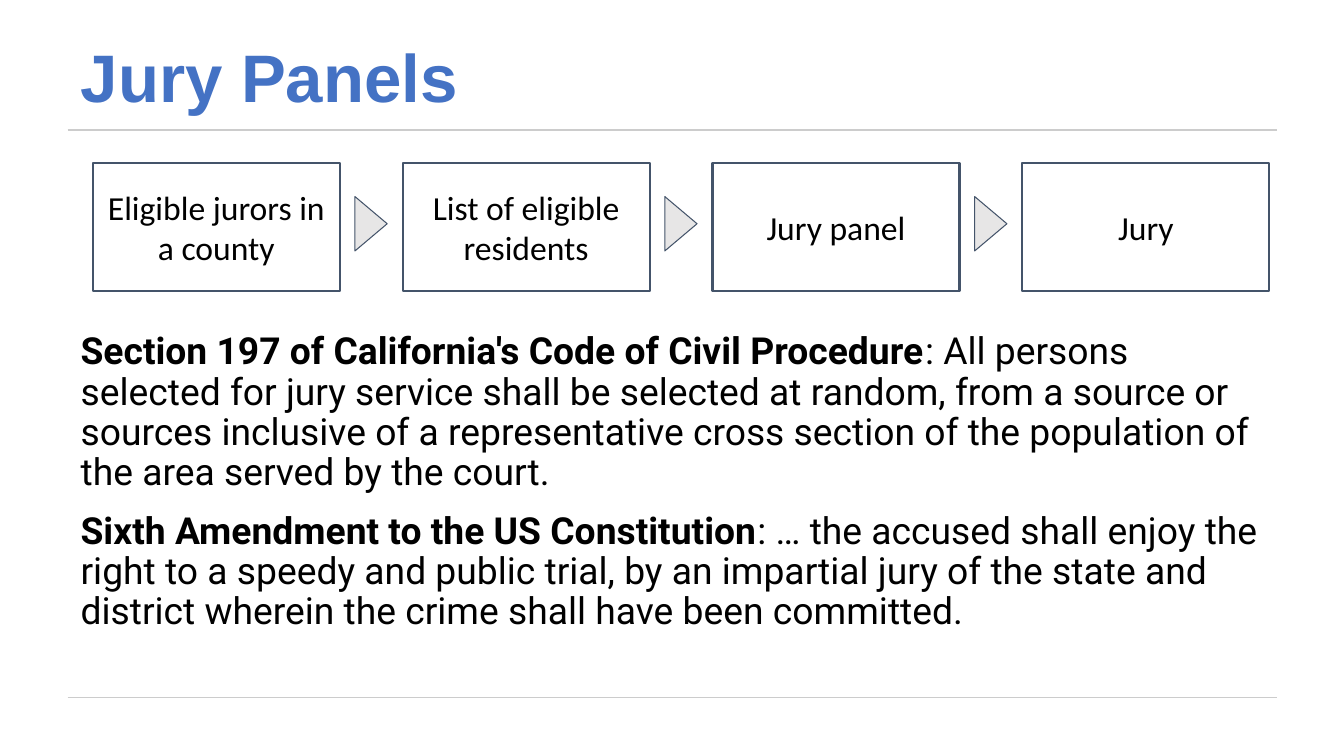
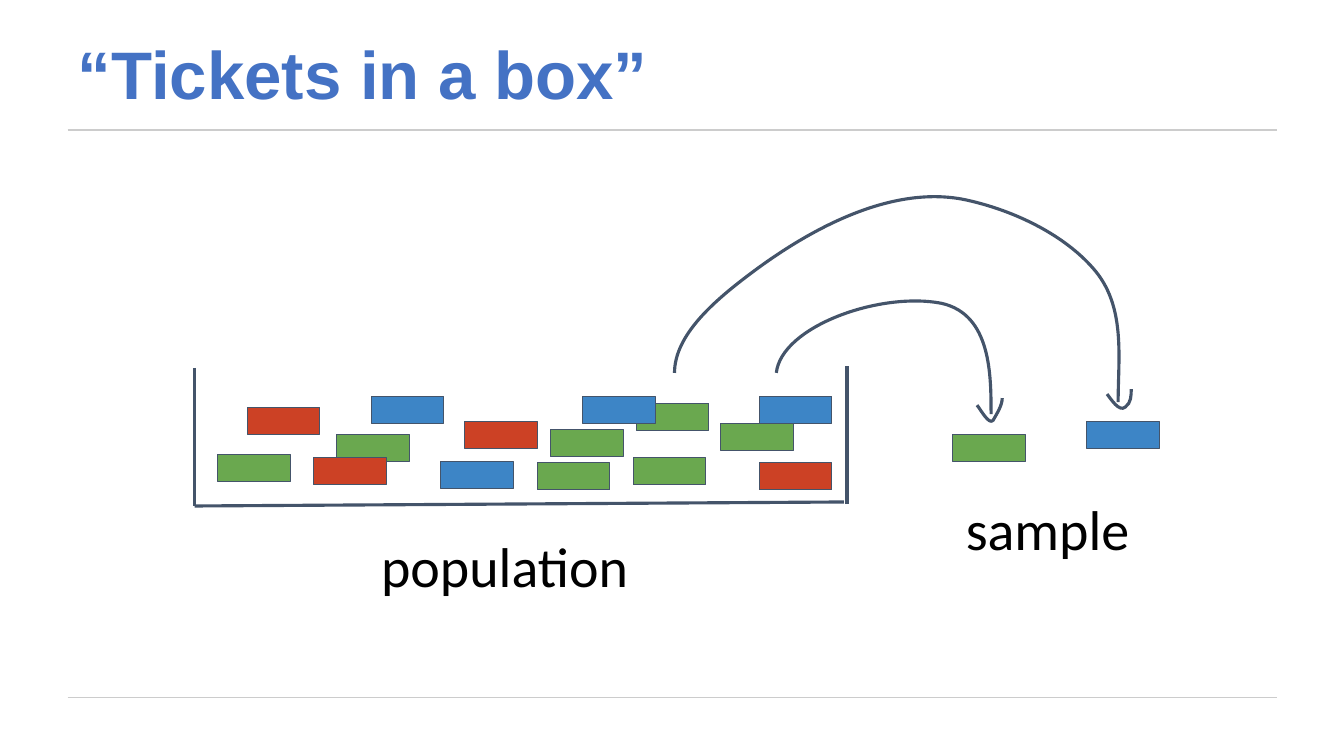
"""Build two slides on jury panels and sampling tickets from a box."""
from dataclasses import dataclass

from lxml import etree
from pptx import Presentation
from pptx.dml.color import RGBColor
from pptx.enum.shapes import MSO_CONNECTOR, MSO_SHAPE
from pptx.enum.text import MSO_ANCHOR, PP_ALIGN
from pptx.oxml.ns import qn
from pptx.util import Inches, Pt

RECTANGLE = MSO_SHAPE.RECTANGLE
RIGHT_ARROW = MSO_SHAPE.RIGHT_ARROW
STRAIGHT = MSO_CONNECTOR.STRAIGHT
TOP, MIDDLE, BOTTOM = MSO_ANCHOR.TOP, MSO_ANCHOR.MIDDLE, MSO_ANCHOR.BOTTOM
LEFT, CENTER = PP_ALIGN.LEFT, PP_ALIGN.CENTER

BLACK, TITLE_BLUE = "000000", "4472C4"
SLATE, RULE_GRAY, ARROW_GRAY = "44546A", "CCCCCC", "E7E6E6"
RED, GREEN, BLUE = "CC4125", "6AA84F", "3D85C6"
INSET = 0.13
CURVE_STEPS = 40

Point = tuple[float, float]
Segment = tuple[Point, Point, Point]
Runs = list[tuple[str, bool]]


@dataclass(frozen=True)
class Area:
    left: float
    top: float
    width: float
    height: float

    def lengths(self) -> tuple:
        """Return the four sides as slide lengths."""
        return tuple(Inches(side) for side in (self.left, self.top, self.width, self.height))


@dataclass(frozen=True)
class Ticket:
    left: float
    top: float
    color: str


@dataclass(frozen=True)
class Line:
    start: Point
    end: Point


@dataclass(frozen=True)
class Curve:
    start: Point
    segments: list[Segment]

    def bounds(self) -> Area:
        """Return the area that the curve covers."""
        points, start = [self.start], self.start
        for segment in self.segments:
            points += [bezier((start, *segment), step / CURVE_STEPS)
                       for step in range(1, CURVE_STEPS + 1)]
            start = segment[-1]
        xs, ys = zip(*points)
        return Area(min(xs), min(ys), max(xs) - min(xs), max(ys) - min(ys))


RULES = [Line((0.67, y), (12.67, y)) for y in (1.29, 6.92)]

STAGES = ["Eligible jurors in a county", "List of eligible residents", "Jury panel", "Jury"]
STAGE_LEFT, LAST_STAGE_LEFT, ARROW_OFFSET = 0.92, 10.14, 2.6
STAGE_PITCH = (LAST_STAGE_LEFT - STAGE_LEFT) / (len(STAGES) - 1)

LAWS: list[Runs] = [
    [("Section 197 of California's Code of Civil Procedure", True),
     (": All persons selected for jury service shall be selected at random, from a source or "
      "sources inclusive of a representative cross section of the population of the area "
      "served by the court.", False)],
    [("Sixth Amendment to the US Constitution", True),
     (": … the accused shall enjoy the right to a speedy and public trial, by an impartial "
      "jury of the state and district wherein the crime shall have been committed.", False)],
]

BOX_SIDES = [
    Line((1.93, 3.65), (1.93, 5.02)),
    Line((1.93, 5.02), (8.37, 4.98)),
    Line((8.4, 5), (8.4, 3.63)),
]

POPULATION = [
    Ticket(2.45, 4.04, RED), Ticket(3.34, 4.31, GREEN), Ticket(4.37, 4.58, BLUE),
    Ticket(3.11, 4.54, RED), Ticket(7.15, 4.2, GREEN), Ticket(7.53, 4.59, RED),
    Ticket(6.28, 4.54, GREEN), Ticket(2.16, 4.51, GREEN), Ticket(7.53, 3.93, BLUE),
    Ticket(3.68, 3.93, BLUE), Ticket(6.31, 4, GREEN), Ticket(5.33, 4.59, GREEN),
    Ticket(4.61, 4.18, RED), Ticket(5.78, 3.93, BLUE), Ticket(5.46, 4.26, GREEN),
]
SAMPLE = [Ticket(9.45, 4.31, GREEN), Ticket(10.78, 4.18, BLUE)]

DRAWS = [
    Curve((7.7, 3.7), [((7.75, 3.24), (8.73, 2.89), (9.34, 3.01)),
                       ((9.83, 3.12), (9.83, 3.72), (9.83, 4.11))]),
    Curve((6.69, 3.7), [((6.69, 3.32), (7.09, 2.98), (7.45, 2.71)),
                        ((8.01, 2.29), (8.85, 1.81), (9.61, 1.99)),
                        ((10.09, 2.1), (10.56, 2.34), (10.84, 2.66)),
                        ((11.17, 3.03), (11.09, 3.54), (11.09, 3.99))]),
]
ARROWHEADS = [
    Curve((9.69, 4.02), [((9.73, 4.07), (9.81, 4.22), (9.85, 4.17)),
                         ((9.89, 4.1), (9.94, 4.02), (9.94, 3.95))]),
    Curve((10.98, 3.91), [((11.02, 3.96), (11.1, 4.09), (11.16, 4.04)),
                          ((11.22, 4), (11.22, 3.92), (11.22, 3.86))]),
]


def rgb(value: str) -> RGBColor:
    """Turn a hex string into a colour."""
    return RGBColor.from_string(value)


def write_text(shape, paragraphs: list[Runs], *, size: float, font: str = "Calibri",
               color: str = BLACK, align=LEFT, anchor=TOP, line_spacing: float = 1.0,
               space_before: float = 0) -> None:
    """Fill a shape with formatted paragraphs."""
    frame = shape.text_frame
    frame.word_wrap = True
    frame.vertical_anchor = anchor
    frame.margin_left = frame.margin_right = Inches(INSET)
    frame.margin_top = frame.margin_bottom = Inches(INSET)
    for index, runs in enumerate(paragraphs):
        paragraph = frame.add_paragraph() if index else frame.paragraphs[0]
        paragraph.alignment = align
        paragraph.line_spacing = line_spacing
        paragraph.space_before = Pt(space_before if index else 0)
        for text, bold in runs:
            run = paragraph.add_run()
            run.text = text
            run.font.name = font
            run.font.size = Pt(size)
            run.font.bold = bold
            run.font.color.rgb = rgb(color)


def add_text(slide, area: Area, paragraphs: list[Runs], **text_format) -> None:
    """Add a text box."""
    write_text(slide.shapes.add_textbox(*area.lengths()), paragraphs, **text_format)


def paint(shape, fill: str | None, line_width: float) -> None:
    """Give a shape its fill and slate outline, without a shadow."""
    shape.shadow.inherit = False
    if fill:
        shape.fill.solid()
        shape.fill.fore_color.rgb = rgb(fill)
    else:
        shape.fill.background()
    shape.line.color.rgb = rgb(SLATE)
    shape.line.width = Pt(line_width)


def add_shape(slide, kind, area: Area, fill: str | None = None, line_width: float = 0.75):
    """Add a painted preset shape."""
    shape = slide.shapes.add_shape(kind, *area.lengths())
    paint(shape, fill, line_width)
    return shape


def add_line(slide, line: Line, color: str, width: float) -> None:
    """Add a straight line without a shadow."""
    ends = [Inches(value) for value in line.start + line.end]
    connector = slide.shapes.add_connector(STRAIGHT, *ends)
    connector.line.color.rgb = rgb(color)
    connector.line.width = Pt(width)
    etree.SubElement(connector._element.spPr, qn("a:effectLst"))


def bezier(points: tuple[Point, ...], share: float) -> Point:
    """Return the point at a share of a cubic curve."""
    rest = 1 - share
    weights = (rest**3, 3 * rest**2 * share, 3 * rest * share**2, share**3)
    x, y = (sum(w * point[axis] for w, point in zip(weights, points)) for axis in (0, 1))
    return x, y


def add_curve(slide, curve: Curve) -> None:
    """Add an open outline made of cubic curves."""
    bounds = curve.bounds()
    left, top, width, height = bounds.lengths()
    builder = slide.shapes.build_freeform(left, top)
    builder.add_line_segments([(left + width, top + height)], close=False)
    shape = builder.convert_to_shape()
    outline = next(shape._element.iter(qn("a:path")))
    for step in list(outline):
        outline.remove(step)
    steps = [("a:moveTo", (curve.start,))]
    steps += [("a:cubicBezTo", segment) for segment in curve.segments]
    for tag, points in steps:
        step = etree.SubElement(outline, qn(tag))
        for x, y in points:
            etree.SubElement(step, qn("a:pt"), x=str(int(Inches(x - bounds.left))),
                             y=str(int(Inches(y - bounds.top))))
    paint(shape, None, 2.25)


def add_ticket(slide, ticket: Ticket) -> None:
    """Add one coloured ticket."""
    add_shape(slide, RECTANGLE, Area(ticket.left, ticket.top, 0.72, 0.27), ticket.color)


def add_titled_slide(presentation, title: str, area: Area):
    """Add a blank slide with its rules and title."""
    slide = presentation.slides.add_slide(presentation.slide_layouts[6])
    for rule in RULES:
        add_line(slide, rule, RULE_GRAY, 0.75)
    add_text(slide, area, [[(title, True)]], size=48, font="Arial", color=TITLE_BLUE,
             anchor=BOTTOM, line_spacing=0.9)
    return slide


def build_jury_panels(presentation) -> None:
    """Build the slide on how a jury is selected."""
    slide = add_titled_slide(presentation, "Jury Panels", Area(0.67, 0.3, 9.78, 0.99))
    add_text(slide, Area(0.67, 3.17, 12, 4.08), LAWS, size=26.6, font="Roboto",
             line_spacing=0.9, space_before=13.3)
    for index, stage in enumerate(STAGES):
        left = STAGE_LEFT + index * STAGE_PITCH
        box = add_shape(slide, RECTANGLE, Area(left, 1.62, 2.45, 1.27), line_width=1.5)
        write_text(box, [[(stage, False)]], size=24, align=CENTER, anchor=MIDDLE)
        if index < len(STAGES) - 1:
            arrow = add_shape(slide, RIGHT_ARROW, Area(left + ARROW_OFFSET, 1.95, 0.32, 0.54),
                              ARROW_GRAY)
            arrow.adjustments[1] = 1.16


def build_tickets(presentation) -> None:
    """Build the slide on drawing tickets from a box."""
    slide = add_titled_slide(presentation, "“Tickets in a box”", Area(0.64, 0.27, 12, 0.99))
    for side in BOX_SIDES:
        add_line(slide, side, SLATE, 2.25)
    for ticket in POPULATION:
        add_ticket(slide, ticket)
    for curve in DRAWS:
        add_curve(slide, curve)
    for ticket in SAMPLE:
        add_ticket(slide, ticket)
    for curve in ARROWHEADS:
        add_curve(slide, curve)
    add_text(slide, Area(3.65, 5.14, 3.01, 0.91), [[("population", False)]], size=40)
    add_text(slide, Area(9.45, 4.78, 2.33, 0.64), [[("sample", False)]], size=40)


def main() -> None:
    """Build and save the presentation."""
    presentation = Presentation()
    presentation.slide_width = Inches(13.33)
    presentation.slide_height = Inches(7.5)
    build_jury_panels(presentation)
    build_tickets(presentation)
    presentation.save("out.pptx")


main()
